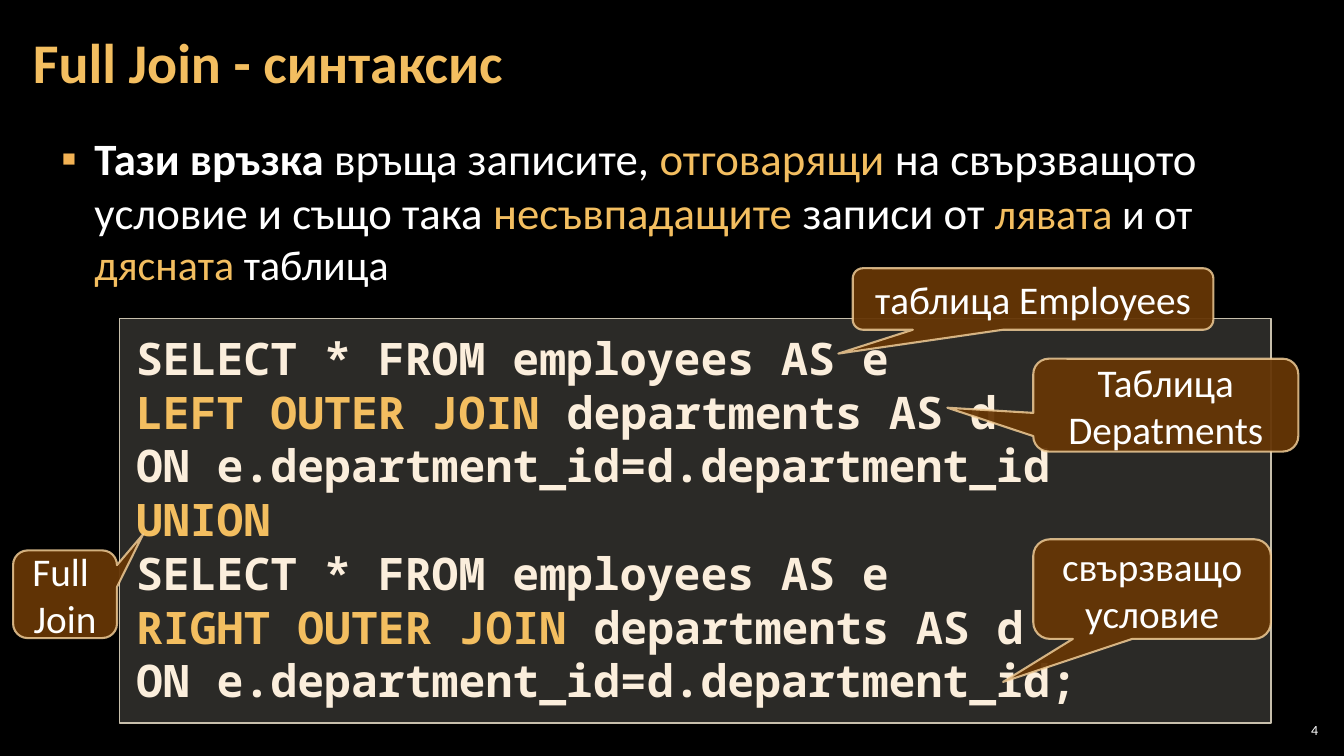
"""Build the Full Join syntax slide."""
from lxml import etree
from pptx import Presentation
from pptx.dml.color import RGBColor
from pptx.enum import shapes, text
from pptx.oxml import ns
from pptx.util import Cm, Pt

WHITE, GOLD, CREAM = "FFFFFF", "F3BE60", "FBEEDC"
SANS, MONO = "Calibri", "Noto Sans Mono"
TITLE = "Full Join - синтаксис"
INTRO = [
    ("Тази връзка ", WHITE, 32, True),
    ("връща записите, ", WHITE, 32, False),
    ("отговарящи", GOLD, 32, False),
    (" на свързващото условие и също така ", WHITE, 32, False),
    ("несъвпадащите ", GOLD, 32, False),
    ("записи от ", WHITE, 32, False),
    ("лявата ", GOLD, 30, False),
    ("и от", WHITE, 30, False),
    "break",
    ("дясната", GOLD, 30, False),
    (" таблица", WHITE, 30, False),
]
SELECT = [("SELECT * FROM employees AS e", CREAM)]
TABLE = ("departments AS d", CREAM)
MATCH = "ON e.department_id=d.department_id"
CODE = [
    SELECT,
    [("LEFT OUTER JOIN ", GOLD), TABLE],
    [(MATCH, CREAM)],
    [("UNION", GOLD)],
    SELECT,
    [("RIGHT OUTER JOIN ", GOLD), TABLE],
    [(MATCH + ";", CREAM)],
]
CALLOUTS = [
    ("Таблица Depatments", (26.04, 9.04, 6.68, 2.34), (-0.824, 0.028)),
    ("таблица Employees", (21.49, 6.76, 9.09, 1.55), (-0.54, 0.888)),
    ("Full \vJoin", (0.33, 13.87, 2.62, 2.21), (0.751, -0.684)),
    ("свързващо условие", (26.04, 13.59, 5.99, 2.51), (-0.627, 0.932)),
]


def rgb(color):
    return RGBColor.from_string(color)


def add(parent, tag, **attrs):
    return etree.SubElement(parent, ns.qn(tag), attrs)


def place(sp, box):
    sp.left, sp.top, sp.width, sp.height = map(Cm, box)


def frame(sp, anchor, dx, dy):
    tf = sp.text_frame
    tf.word_wrap, tf.auto_size = True, text.MSO_AUTO_SIZE.NONE
    tf.vertical_anchor = anchor
    tf.margin_left = tf.margin_right = Cm(dx)
    tf.margin_top = tf.margin_bottom = Cm(dy)
    return tf


def style(p, size, font, align, color=WHITE, bold=False):
    p.alignment = align
    p.font.size, p.font.name, p.font.bold = Pt(size), font, bold
    p.font.color.rgb = rgb(color)


def add_run(p, words, color):
    r = p.add_run()
    r.text = words
    r.font.color.rgb = rgb(color)
    return r


def paint(fill, color, alpha):
    fill.solid()
    fill.fore_color.rgb = rgb(color)
    clr = fill._xPr.find(".//" + ns.qn("a:srgbClr"))
    add(clr, "a:alpha", val=str(alpha * 1000))


def add_panel(kind, box, fill, line, width):
    sp = slide.shapes.add_shape(kind, *map(Cm, box))
    sp.shadow.inherit = False
    paint(sp.fill, *fill)
    paint(sp.line.fill, *line)
    sp.line.width = Pt(width)
    return sp


prs = Presentation()
prs.slide_width, prs.slide_height = Cm(33.87), Cm(19.05)
slide = prs.slides.add_slide(prs.slide_layouts[1])
slide.background.fill.solid()
slide.background.fill.fore_color.rgb = rgb("000000")
title, body = slide.placeholders
LEFT, CENTER, RIGHT = text.PP_ALIGN.LEFT, text.PP_ALIGN.CENTER, text.PP_ALIGN.RIGHT
TOP, MIDDLE = text.MSO_ANCHOR.TOP, text.MSO_ANCHOR.MIDDLE

place(title, (0.53, 0.1, 26.59, 3.07))
p = frame(title, MIDDLE, 0.3, 0.1).paragraphs[0]
p.text, p.line_spacing = TITLE, 0.9
style(p, 40, SANS, LEFT, GOLD, True)

place(body, (1.24, 3.2, 31.62, 15.47))
p = frame(body, TOP, 0.3, 0.1).paragraphs[0]
style(p, 32, SANS, LEFT)
p.space_before = p.space_after = Pt(6)
for part in INTRO:
    if part == "break":
        p.add_line_break()
        continue
    words, color, size, bold = part
    r = add_run(p, words, color)
    r.font.size, r.font.bold = Pt(size), bold
pPr = p._p.get_or_add_pPr()
pPr.set("marL", str(Cm(0.84)))
pPr.set("indent", str(-Cm(0.84)))
bullet = [
    etree.Element(ns.qn("a:buClr")),
    etree.Element(ns.qn("a:buFont"), typeface="Arial"),
    etree.Element(ns.qn("a:buChar"), char="▪"),
]
add(bullet[0], "a:srgbClr", val="F2B254")
for el in bullet:
    pPr.find(ns.qn("a:defRPr")).addprevious(el)

code = add_panel(shapes.MSO_SHAPE.RECTANGLE, (3.02, 8.03, 29.01, 10.19),
                 ("D9D5C7", 20), ("C7BFAC", 100), 1)
tf = frame(code, TOP, 0.41, 0.3)
for i, line in enumerate(CODE):
    p = tf.add_paragraph() if i else tf.paragraphs[0]
    style(p, 32, MONO, LEFT, CREAM, True)
    for words, color in line:
        add_run(p, words, color)

number = slide.shapes.add_textbox(*map(Cm, (32.13, 18.14, 1.19, 0.53)))
p = frame(number, MIDDLE, 0.1, 0.1).paragraphs[0]
p.text = "4"
style(p, 10, SANS, RIGHT)

for words, box, tip in CALLOUTS:
    sp = add_panel(shapes.MSO_SHAPE.ROUNDED_RECTANGULAR_CALLOUT, box,
                   ("663606", 95), ("F8D49E", 80), 1.5)
    for i, value in enumerate((*tip, 0.167)):
        sp.adjustments[i] = value
    p = frame(sp, MIDDLE, 0.25, 0.13).paragraphs[0]
    p.text = words
    style(p, 28, SANS, CENTER)

prs.save("out.pptx")
